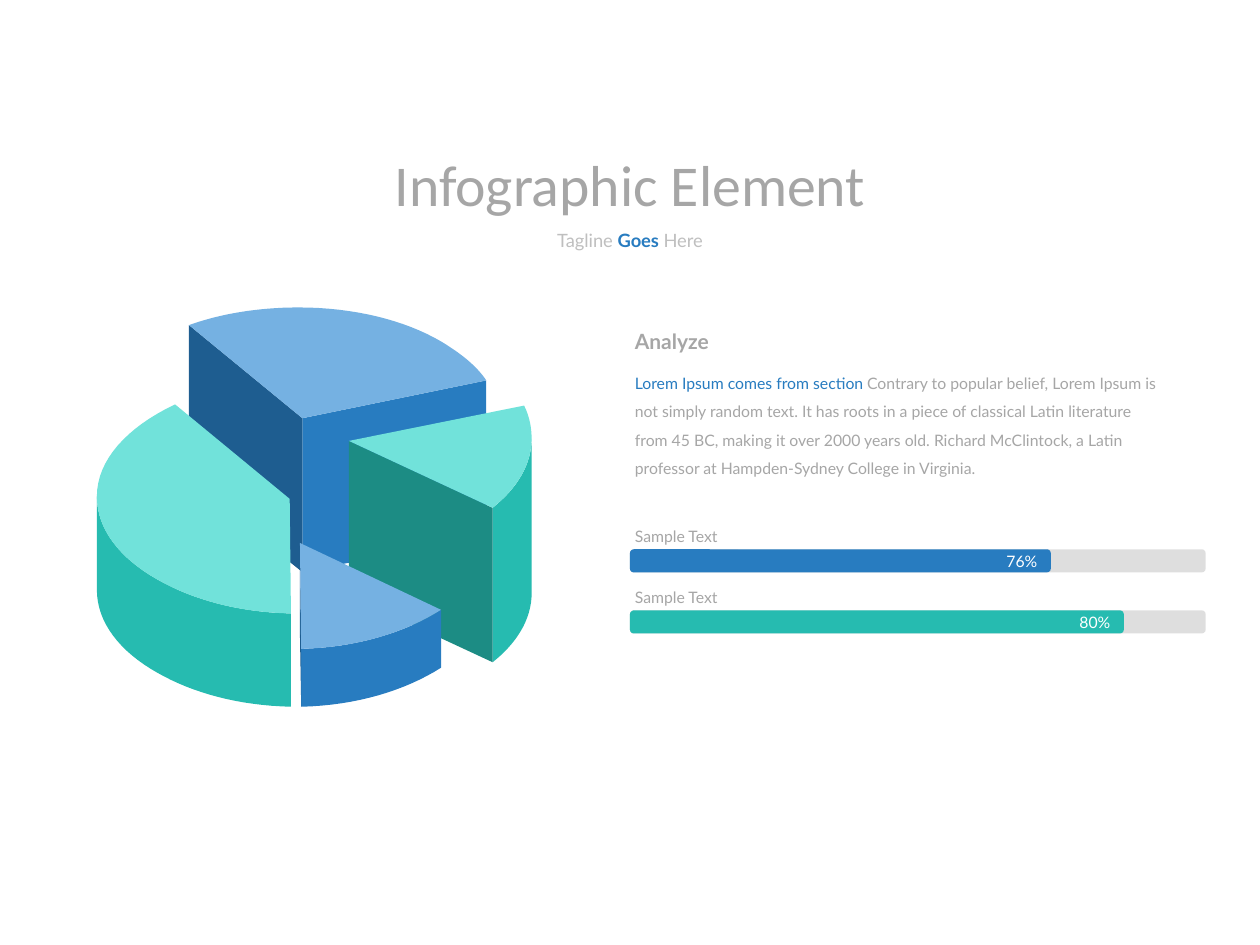
from typing import NamedTuple

from lxml.etree import SubElement
from pptx import Presentation
from pptx.dml.color import RGBColor
from pptx.enum.shapes import MSO_SHAPE as Shape
from pptx.enum.text import MSO_ANCHOR as Anchor, MSO_AUTO_SIZE as Fit, PP_ALIGN as Align
from pptx.oxml.ns import qn
from pptx.util import Pt

BLUE, LIGHT_BLUE, DARK_BLUE = "287CC0", "75B1E2", "1E5D90"
TEAL, LIGHT_TEAL, DARK_TEAL = "26BBB0", "71E2DA", "1C8C84"
GRAY, PALE, WHITE = "A6A6A6", "BFBFBF", "FFFFFF"

Point = tuple[float, float]


class Face(NamedTuple):
    color: str
    points: list[Point]


class Span(NamedTuple):
    text: str
    color: str
    bold: bool = False


class Label(NamedTuple):
    left: float
    top: float
    width: float
    height: float
    size: float
    spans: list[Span]
    font: str = "Lato"
    align: Align = Align.LEFT
    wrap: bool = False
    space: float = 1.0


class Bar(NamedTuple):
    top: float
    width: float
    value: str
    color: str


def paint(target, color: str) -> None:
    target.fill.solid()
    target.fill.fore_color.rgb = RGBColor.from_string(color)


def clean(shape, color: str) -> None:
    paint(shape, color)
    shape.line.fill.background()
    shape.shadow.inherit = False


def curve(*knots: Point, steps: int = 16) -> list[Point]:
    points = [knots[0]]
    for start in range(0, len(knots) - 1, 3):
        a, b, c, d = knots[start:start + 4]
        for step in range(1, steps + 1):
            t = step / steps
            u = 1 - t
            points.append(tuple(
                u**3 * a[i] + 3 * u * u * t * b[i] + 3 * u * t * t * c[i] + t**3 * d[i]
                for i in (0, 1)
            ))
    return points


def wall(rim: list[Point], depth: float) -> list[Point]:
    return rim + [(x, y + depth) for x, y in reversed(rim)]


def draw_face(shapes, face: Face) -> None:
    first, *rest = [(Pt(x), Pt(y)) for x, y in face.points]
    path = shapes.build_freeform(*first)
    path.add_line_segments(rest, close=True)
    clean(path.convert_to_shape(), face.color)


def style(run, size: float, font: str, span: Span) -> None:
    run.font.size = Pt(size)
    run.font.name = font
    run.font.bold = span.bold
    run.font.color.rgb = RGBColor.from_string(span.color)


def draw_label(shapes, label: Label) -> None:
    box = shapes.add_textbox(Pt(label.left), Pt(label.top), Pt(label.width), Pt(label.height))
    frame = box.text_frame
    frame.word_wrap = label.wrap
    frame.auto_size = Fit.SHAPE_TO_FIT_TEXT
    line = frame.paragraphs[0]
    line.alignment = label.align
    line.line_spacing = label.space
    for span in label.spans:
        run = line.add_run()
        run.text = span.text
        style(run, label.size, label.font, span)


def draw_strip(shapes, top: float, width: float, color: str):
    strip = shapes.add_shape(Shape.ROUNDED_RECTANGLE, Pt(360), Pt(top), Pt(width), Pt(13.2))
    clean(strip, color)
    return strip


def draw_bar(shapes, bar: Bar) -> None:
    track = draw_strip(shapes, bar.top, 329, PALE)
    tint = track.fill._xPr.find(qn("a:solidFill"))[0]
    SubElement(tint, qn("a:alpha")).set("val", "50000")
    frame = draw_strip(shapes, bar.top, bar.width, bar.color).text_frame
    frame.text = bar.value
    frame.word_wrap = False
    frame.vertical_anchor = Anchor.MIDDLE
    frame.margin_left = frame.margin_right = Pt(7.2)
    frame.margin_top = frame.margin_bottom = Pt(7.2)
    line = frame.paragraphs[0]
    line.alignment = Align.RIGHT
    style(line.runs[0], 9, "Lato", Span(bar.value, WHITE))
    draw_label(shapes, Label(355.7, bar.top - 16.4, 64, 18, 9, [Span("Sample Text", GRAY)]))


LEFT_RIM = curve((166.3, 350.6), (136.1, 349.9), (110.2, 342.7), (90, 331.2),
                 (68.4, 319), (55.4, 302.4), (55.4, 283.7))
LEFT_BACK = curve((55.4, 283.7), (55.4, 262.8), (72.7, 244.1), (100.1, 231.1))
RIGHT_RIM = curve((303.8, 250.6), (303.8, 265.7), (295.2, 279.4), (281.5, 290.2))
RIGHT_BACK = curve((299.5, 231.8), (302.4, 237.6), (303.8, 244.1), (303.8, 250.6))
FRONT_RIM = curve((252, 348.5), (231.8, 361.4), (203.8, 370.1), (172.1, 370.8))
BACK_RIM = curve((108, 185.8), (126, 179.3), (147.6, 175.7), (170.6, 175.7),
                 (202.3, 175.7), (231.1, 182.9), (252, 195.1),
                 (262.8, 201.6), (272.2, 208.8), (277.9, 217.4))

FACES = [
    Face(BLUE, [(277.9, 217.4), (277.9, 306), (172.8, 326.9), (172.8, 239)]),
    Face(DARK_BLUE, [(172.8, 239), (172.8, 326.9), (108, 275), (108, 185.8)]),
    Face(LIGHT_BLUE, BACK_RIM + [(172.8, 239)]),
    Face(TEAL, wall(LEFT_RIM, 53.3)),
    Face(LIGHT_TEAL, LEFT_RIM + LEFT_BACK + [(165.6, 285.1)]),
    Face(TEAL, wall(RIGHT_RIM, 88.2)),
    Face(DARK_TEAL, wall([(281.5, 290.2), (199.4, 252)], 88.2)),
    Face(LIGHT_TEAL, RIGHT_BACK + RIGHT_RIM + [(199.4, 252)]),
    Face(BLUE, wall(FRONT_RIM, 33.1)),
    Face(DARK_BLUE, [(171.4, 310.3), (171.4, 363.6), (172.1, 403.9), (172.1, 370.8)]),
    Face(LIGHT_BLUE, FRONT_RIM + [(171.4, 310.3)]),
]

LABELS = [
    Label(204.2, 81.4, 311.6, 47.5, 33, [Span("Infographic Element", GRAY)],
          font="Calibri", align=Align.CENTER),
    Label(309.6, 127.4, 100.8, 20.2, 10.5,
          [Span("Tagline ", PALE), Span("Goes ", BLUE, True), Span("Here", PALE)],
          align=Align.CENTER),
    Label(355.7, 204.5, 317.5, 72.7, 9, [
        Span("Lorem Ipsum comes from section ", BLUE),
        Span("Contrary to popular belief, Lorem Ipsum is not simply random text. "
             "It has roots in a piece of classical Latin literature from 45 BC, "
             "making it over 2000 years old. Richard McClintock, a Latin professor "
             "at Hampden-Sydney College in Virginia.", GRAY),
    ], wrap=True, space=1.5),
    Label(355.7, 184.3, 57.6, 21.6, 12, [Span("Analyze", GRAY, True)]),
]

BARS = [Bar(313.9, 240.5, "76%", BLUE), Bar(348.8, 282.2, "80%", TEAL)]


def main() -> None:
    deck = Presentation()
    deck.slide_width, deck.slide_height = Pt(720), Pt(540)
    shapes = deck.slides.add_slide(deck.slide_layouts[6]).shapes
    pie = shapes.add_group_shape()
    for face in FACES:
        draw_face(pie.shapes, face)
    for label in LABELS:
        draw_label(shapes, label)
    for bar in BARS:
        draw_bar(shapes, bar)
    deck.save("out.pptx")


if __name__ == "__main__":
    main()
